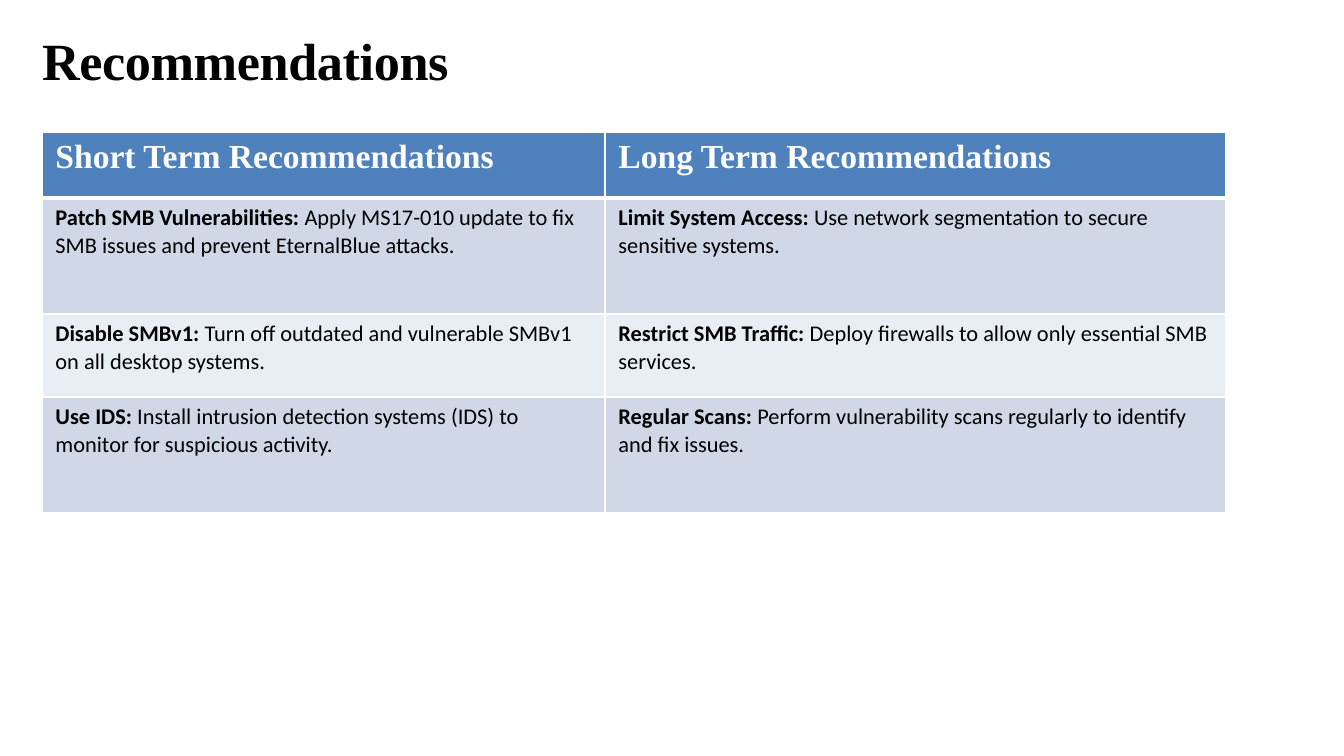
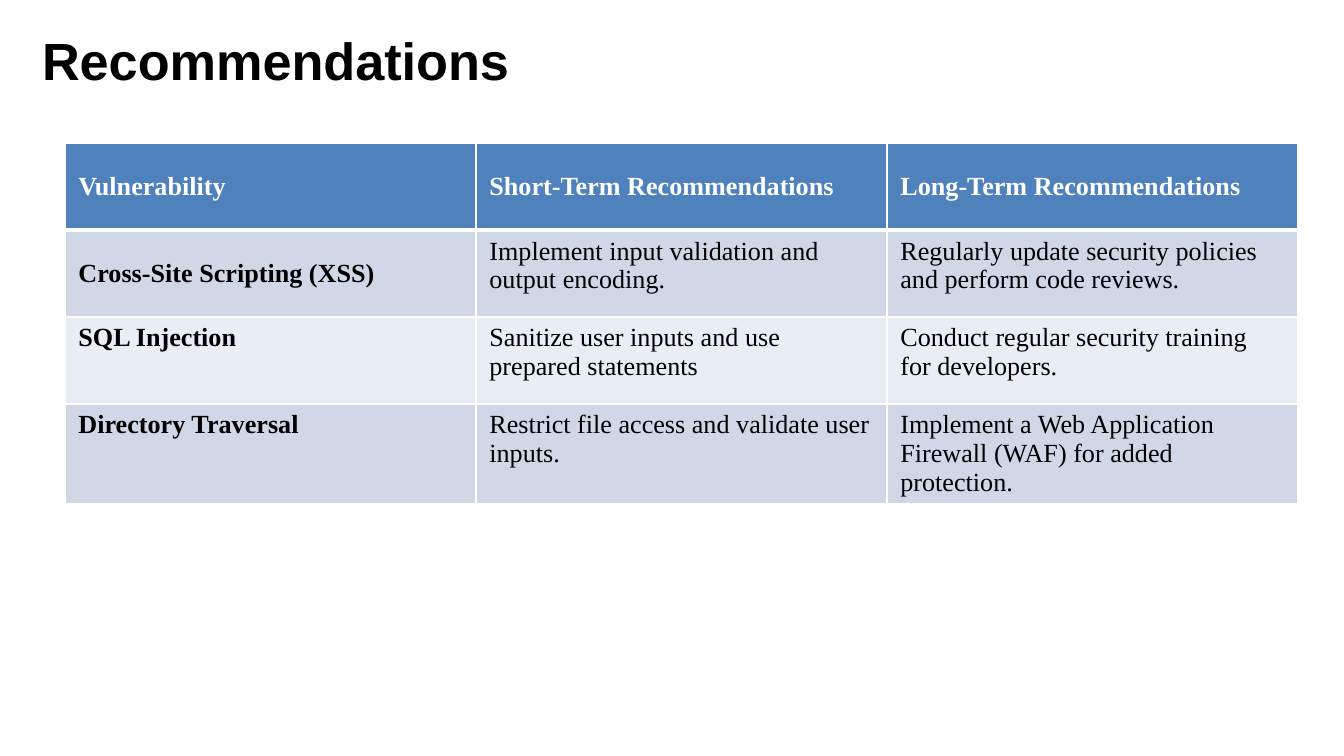
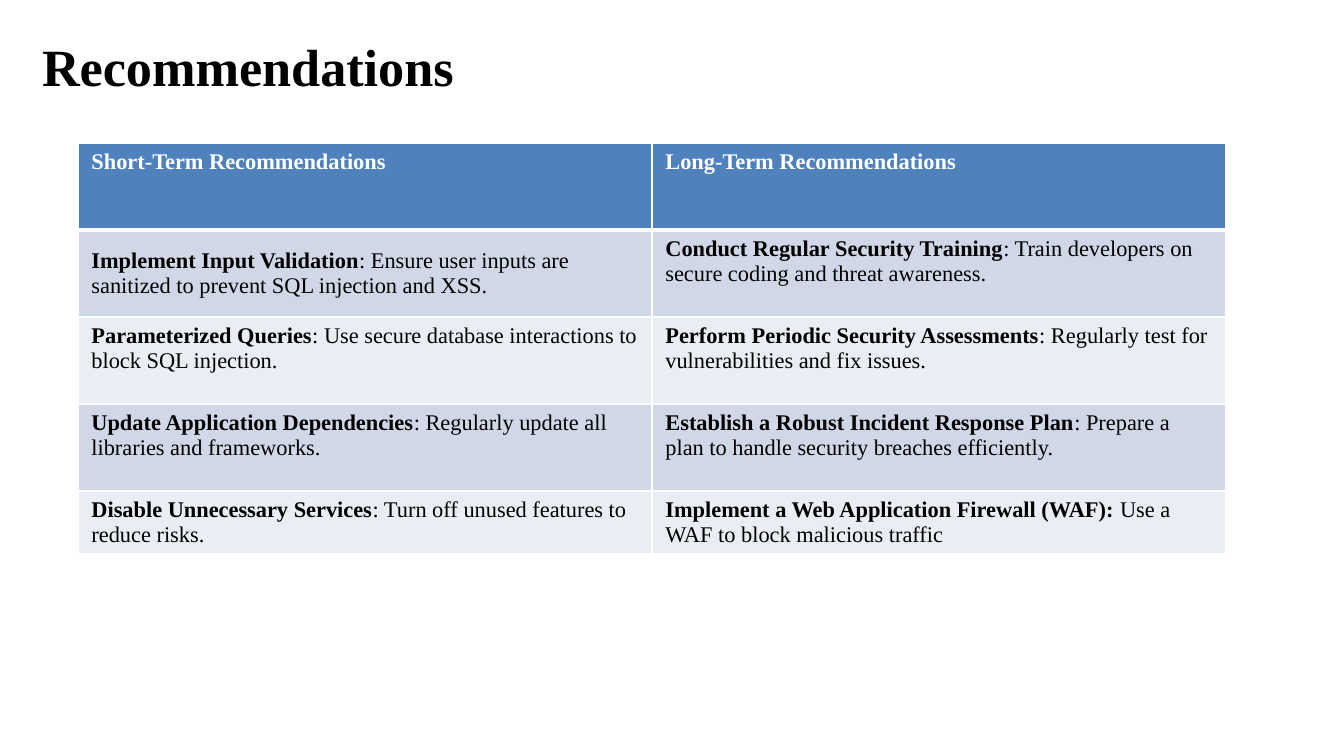
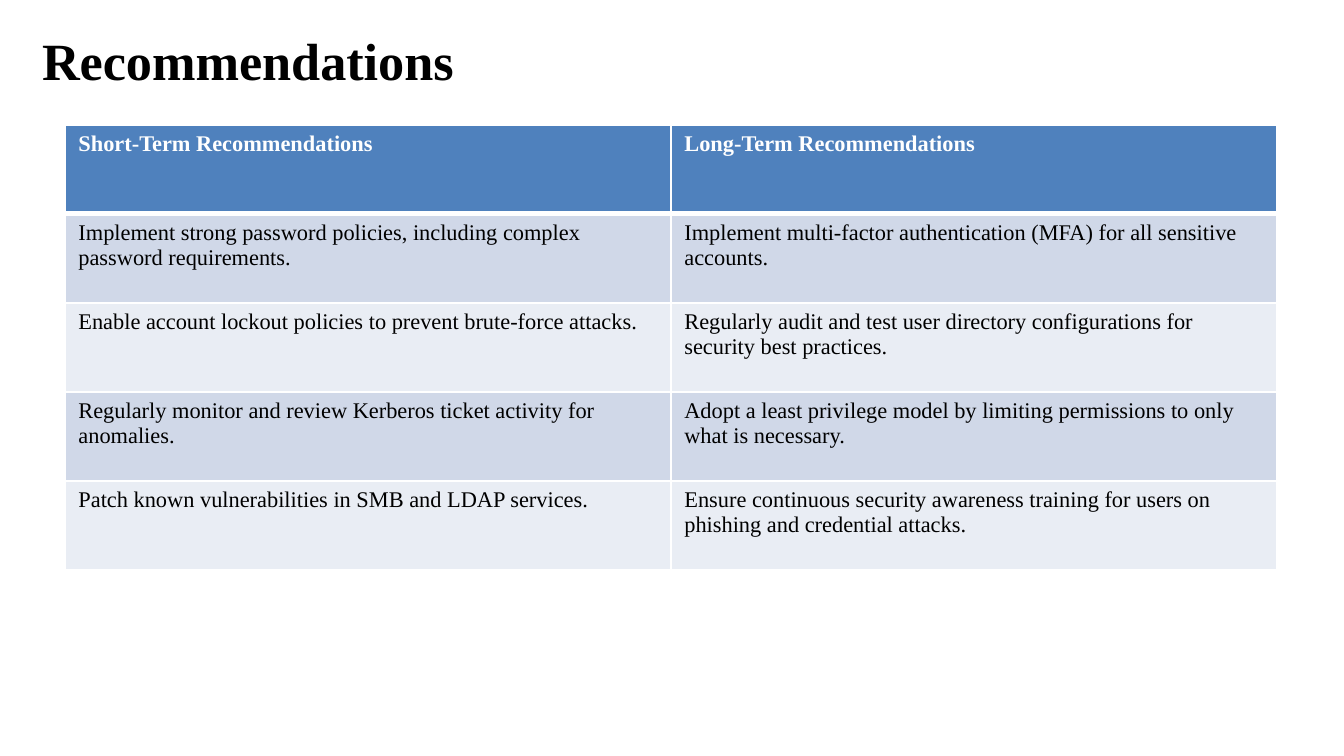
from dataclasses import dataclass
from typing import NamedTuple

from lxml.etree import SubElement
from pptx import Presentation
from pptx.dml.color import RGBColor
from pptx.enum.text import MSO_ANCHOR as Anchor, MSO_AUTO_SIZE as AutoSize, PP_ALIGN as Align
from pptx.oxml.ns import qn
from pptx.util import Emu, Pt

PX = 914400 / 134.4
PAGE_WIDTH, PAGE_HEIGHT = 1344, 756
TITLE_LEFT, TITLE_WIDTH = 42, 1158
TITLE_TEXT = "Recommendations"
TITLE_SIZE = 28
TITLE_ONLY_LAYOUT = 5

SERIF, SANS, BODY = "Times New Roman", "Arial", "Calibri"

BLACK = RGBColor(0x00, 0x00, 0x00)
WHITE = RGBColor(0xFF, 0xFF, 0xFF)
HEADER_BLUE = RGBColor(0x4F, 0x81, 0xBD)
BANDS = (RGBColor(0xD0, 0xD8, 0xE8), RGBColor(0xE9, 0xED, 0xF4))

THIN, THICK = 1, 3


class Advice(NamedTuple):
    """A body cell: a bold lead followed by plain text."""
    lead: str
    detail: str
    middle: bool = False


class Title(NamedTuple):
    top: int
    height: int
    font: str = SERIF
    spacing: int = 0  # hundredths of a point


@dataclass
class Grid:
    left: int
    top: int
    columns: list[int]
    rows: list[int]
    headings: list[str]
    body: list[list[Advice]]
    heading_size: int = 12
    heading_middle: bool = False
    body_size: int = 12
    body_font: str = SERIF


class RecommendationPage(NamedTuple):
    title: Title
    grid: Grid


TERMS = ["Short-Term Recommendations", "Long-Term Recommendations"]

PAGES = [
    RecommendationPage(
        Title(top=28, height=66, spacing=-20),
        Grid(42, 132, [563, 621], [66, 116, 83, 116],
             ["Short Term Recommendations", "Long Term Recommendations"],
             [
                 [Advice("Patch SMB Vulnerabilities:",
                         " Apply MS17-010 update to fix SMB issues and prevent EternalBlue attacks."),
                  Advice("Limit System Access:",
                         " Use network segmentation to secure sensitive systems.")],
                 [Advice("Disable SMBv1:",
                         " Turn off outdated and vulnerable SMBv1 on all desktop systems."),
                  Advice("Restrict SMB Traffic:",
                         " Deploy firewalls to allow only essential SMB services.")],
                 [Advice("Use IDS:",
                         " Install intrusion detection systems (IDS) to monitor for suspicious activity."),
                  Advice("Regular Scans:",
                         " Perform vulnerability scans regularly to identify and fix issues.")],
             ],
             heading_size=18, body_font=BODY)),
    RecommendationPage(
        Title(top=28, height=63, font=SANS),
        Grid(65, 143, [411] * 3, [87] * 4,
             ["Vulnerability", *TERMS],
             [
                 [Advice("Cross-Site Scripting (XSS)", "", middle=True),
                  Advice("", "Implement input validation and output encoding."),
                  Advice("", "Regularly update security policies and perform code reviews.")],
                 [Advice("SQL Injection", ""),
                  Advice("", "Sanitize user inputs and use prepared statements"),
                  Advice("", "Conduct regular security training for developers.")],
                 [Advice("Directory Traversal", ""),
                  Advice("", "Restrict file access and validate user inputs."),
                  Advice("", "Implement a Web Application Firewall (WAF) for added protection.")],
             ],
             heading_size=14, heading_middle=True, body_size=14)),
    RecommendationPage(
        Title(top=34, height=262),
        Grid(78, 143, [574] * 2, [87] * 4 + [63],
             TERMS,
             [
                 [Advice("Implement Input Validation",
                         ": Ensure user inputs are sanitized to prevent SQL injection and XSS.",
                         middle=True),
                  Advice("Conduct Regular Security Training",
                         ": Train developers on secure coding and threat awareness.")],
                 [Advice("Parameterized Queries",
                         ": Use secure database interactions to block SQL injection."),
                  Advice("Perform Periodic Security Assessments",
                         ": Regularly test for vulnerabilities and fix issues.")],
                 [Advice("Update Application Dependencies",
                         ": Regularly update all libraries and frameworks."),
                  Advice("Establish a Robust Incident Response Plan",
                         ": Prepare a plan to handle security breaches efficiently.")],
                 [Advice("Disable Unnecessary Services",
                         ": Turn off unused features to reduce risks."),
                  Advice("Implement a Web Application Firewall (WAF): ",
                         "Use a WAF to block malicious traffic")],
             ])),
    RecommendationPage(
        Title(top=28, height=63),
        Grid(65, 125, [606] * 2, [89] * 5,
             TERMS,
             [
                 [Advice("", "Implement strong password policies, including complex password requirements."),
                  Advice("", "Implement multi-factor authentication (MFA) for all sensitive accounts.")],
                 [Advice("", "Enable account lockout policies to prevent brute-force attacks."),
                  Advice("", "Regularly audit and test user directory configurations for security best practices.")],
                 [Advice("", "Regularly monitor and review Kerberos ticket activity for anomalies."),
                  Advice("", "Adopt a least privilege model by limiting permissions to only what is necessary.")],
                 [Advice("", "Patch known vulnerabilities in SMB and LDAP services."),
                  Advice("", "Ensure continuous security awareness training for users on phishing and credential attacks.")],
             ])),
]


def px(length: int) -> Emu:
    return Emu(round(length * PX))


def add_span(para, text: str, font: str, size: int, color: RGBColor, bold: bool):
    span = para.add_run()
    span.text = text
    span.font.name = font
    span.font.size = Pt(size)
    span.font.bold = bold
    span.font.color.rgb = color
    return span


def add_title(page, title: Title) -> None:
    box = page.shapes.title
    box.left, box.top = px(TITLE_LEFT), px(title.top)
    box.width, box.height = px(TITLE_WIDTH), px(title.height)
    frame = box.text_frame
    frame.margin_left = frame.margin_top = frame.margin_right = frame.margin_bottom = 0
    frame.vertical_anchor = Anchor.TOP
    frame.auto_size = AutoSize.NONE
    frame.word_wrap = True
    para = frame.paragraphs[0]
    para.alignment = Align.LEFT
    span = add_span(para, TITLE_TEXT, title.font, TITLE_SIZE, BLACK, True)
    if title.spacing:
        span.font._element.set("spc", str(title.spacing))


def style_cell(cell, fill: RGBColor, middle: bool, top: int = THIN, bottom: int = THIN) -> None:
    """Set the white borders (widths in points), the fill and the anchor."""
    cell.vertical_anchor = Anchor.MIDDLE if middle else Anchor.TOP
    properties = cell._tc.get_or_add_tcPr()
    for side, width in (("L", THIN), ("R", THIN), ("T", top), ("B", bottom)):
        line = SubElement(properties, qn(f"a:ln{side}"), w=str(Pt(width)))
        SubElement(SubElement(line, qn("a:solidFill")), qn("a:srgbClr"), val=str(WHITE))
    cell.fill.solid()
    cell.fill.fore_color.rgb = fill


def add_grid(page, grid: Grid) -> None:
    table = page.shapes.add_table(
        len(grid.rows), len(grid.columns), px(grid.left), px(grid.top),
        px(sum(grid.columns)), px(sum(grid.rows))).table
    for column, width in zip(table.columns, grid.columns):
        column.width = px(width)
    for row, height in zip(table.rows, grid.rows):
        row.height = px(height)

    for column, heading in enumerate(grid.headings):
        cell = table.cell(0, column)
        style_cell(cell, HEADER_BLUE, grid.heading_middle, bottom=THICK)
        add_span(cell.text_frame.paragraphs[0], heading, SERIF, grid.heading_size, WHITE, True)

    for row, advices in enumerate(grid.body, start=1):
        for column, advice in enumerate(advices):
            cell = table.cell(row, column)
            style_cell(cell, BANDS[(row - 1) % 2], advice.middle, top=THICK if row == 1 else THIN)
            para = cell.text_frame.paragraphs[0]
            for text, bold in ((advice.lead, True), (advice.detail, False)):
                if text:
                    add_span(para, text, grid.body_font, grid.body_size, BLACK, bold)


def main() -> None:
    deck = Presentation()
    deck.slide_width, deck.slide_height = px(PAGE_WIDTH), px(PAGE_HEIGHT)
    for content in PAGES:
        page = deck.slides.add_slide(deck.slide_layouts[TITLE_ONLY_LAYOUT])
        add_title(page, content.title)
        add_grid(page, content.grid)
    deck.save("out.pptx")


if __name__ == "__main__":
    main()
